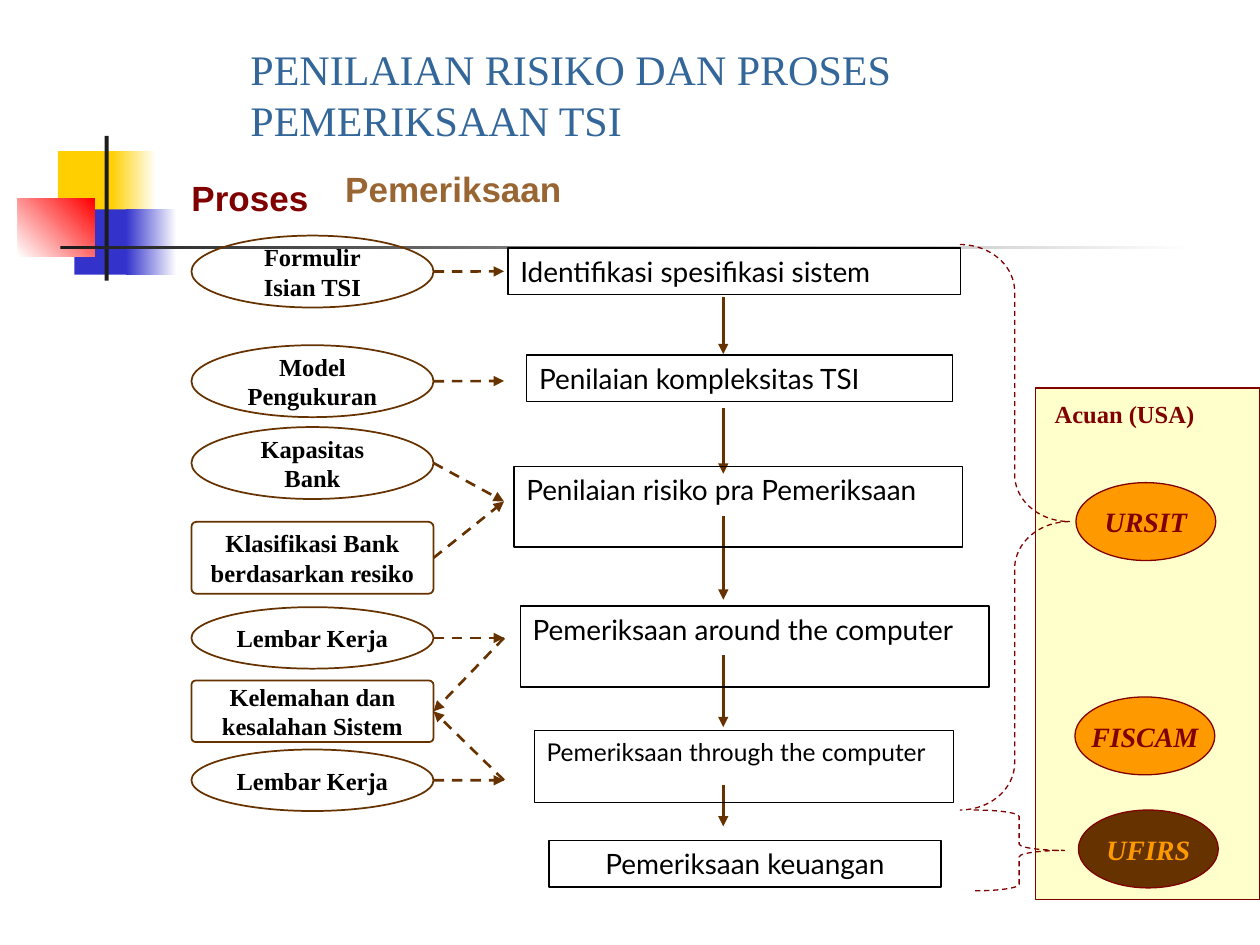
from lxml import etree
from pptx import Presentation
from pptx import util as u
from pptx.dml import color
from pptx.enum import dml, shapes, text
from pptx.oxml import ns

COLORS = {
    "white": "FFFFFF", "black": "000000", "ink": "1C1C1C",
    "yellow": "FFCF01", "blue": "3333CC", "red": "FF0000",
    "title": "336699", "maroon": "800000", "tan": "996633",
    "brown": "663300", "cream": "FFFFCC", "orange": "FF9900",
}
SERIF = "Times New Roman"
RECT = shapes.MSO_SHAPE.RECTANGLE
ROUND = shapes.MSO_SHAPE.ROUNDED_RECTANGLE
OVAL = shapes.MSO_SHAPE.OVAL
BRACE = shapes.MSO_SHAPE.RIGHT_BRACE
LEFT, CENTER = text.PP_ALIGN.LEFT, text.PP_ALIGN.CENTER
TOP, MIDDLE = text.MSO_ANCHOR.TOP, text.MSO_ANCHOR.MIDDLE

INPUT_LEFT, INPUT_WIDTH = 3.86, 4.88
INPUT_RIGHT = INPUT_LEFT + INPUT_WIDTH
TARGET_X, FLOW_X = 10.16, 14.58

DECOR = [
    (1.17, 3.05, 1.22, 1.32, ["yellow"], 0),
    (2.24, 3.05, 0.91, 1.32, ["yellow", "white"], 0),
    (1.5, 4.22, 1.17, 1.32, ["blue"], 0),
    (2.54, 4.22, 1.02, 1.32, ["blue", "white"], 0),
    (0.36, 4.01, 1.55, 1.17, ["white", "red"], 45),
    (2.11, 2.74, 0.08, 2.92, ["ink"], 0),
    (1.22, 4.95, 22.86, 0.08, ["ink", "white"], 0),
]
INPUTS = [
    ("form", OVAL, 4.75, 1.45, ["Formulir", "Isian TSI"]),
    ("model", OVAL, 6.96, 1.45, ["Model", "Pengukuran"]),
    ("capacity", OVAL, 8.61, 1.45, ["Kapasitas", "Bank"]),
    ("class", ROUND, 10.52, 1.45, ["Klasifikasi Bank", "berdasarkan resiko"]),
    ("sheet1", OVAL, 12.24, 1.24, ["Lembar Kerja"]),
    ("weakness", ROUND, 13.72, 1.24, ["Kelemahan dan", "kesalahan Sistem"]),
    ("sheet2", OVAL, 15.11, 1.24, ["Lembar Kerja"]),
]
INPUT_ARROWS = [
    ("form", 5.47), ("model", 7.68), ("capacity", 10.11),
    ("class", 10.11), ("sheet1", 12.86), ("sheet2", 15.73),
]
STEPS = [
    (10.24, 5, 9.12, 0.94, "Identifikasi spesifikasi sistem", 16, LEFT),
    (10.62, 7.16, 8.59, 0.94, "Penilaian kompleksitas TSI", 16, LEFT),
    (10.36, 9.4, 9.04, 1.63, "Penilaian risiko pra Pemeriksaan", 16, LEFT),
    (10.49, 12.22, 9.45, 1.63, "Pemeriksaan around the computer", 16, LEFT),
    (10.77, 14.73, 8.46, 1.45, "Pemeriksaan through the computer", 14, LEFT),
    (11.07, 16.94, 7.9, 0.94, "Pemeriksaan keuangan", 16, CENTER),
]
FLOW_ARROWS = [(5.99, 7.14), (8.23, 9.55), (10.41, 12.09),
               (13.21, 14.66), (15.82, 16.66)]
REFERENCES = [
    (21.69, 9.73, "URSIT", "orange", "maroon"),
    (21.67, 14.05, "FISCAM", "orange", "maroon"),
    (21.74, 16.33, "UFIRS", "brown", "orange"),
]
BRACES = [
    (19.35, 4.93, 2.21, 11.4, 0.43, 0.49),
    (19.63, 16.33, 1.83, 1.63, 0.08, 0.5),
]


def rgb(name):
    return color.RGBColor.from_string(COLORS[name])


def cm(*values):
    return [u.Cm(v) for v in values]


def write(sp, lines, size, font, ink, align=LEFT, anchor=TOP,
          bold=False, italic=False, wrap=False):
    tf = sp.text_frame
    tf.text = "\n".join(lines)
    tf.word_wrap = wrap
    tf.vertical_anchor = anchor
    for p in tf.paragraphs:
        p.alignment = align
        p.font.size = u.Pt(size)
        p.font.name = font
        p.font.bold = bold
        p.font.italic = italic
        p.font.color.rgb = rgb(ink)


def add_label(s, box, line, size, font, ink, **style):
    write(s.shapes.add_textbox(*cm(*box)), [line], size, font, ink, **style)


def add_box(s, kind, box, fills=(), line=None, width=0.75, angle=0):
    sp = s.shapes.add_shape(kind, *cm(*box))
    sp.shadow.inherit = False
    if len(fills) > 1:
        sp.fill.gradient()
        sp.fill.gradient_angle = angle
        for stop, name in zip(sp.fill.gradient_stops, fills):
            stop.color.rgb = rgb(name)
    elif fills:
        sp.fill.solid()
        sp.fill.fore_color.rgb = rgb(fills[0])
    else:
        sp.fill.background()
    if line:
        sp.line.color.rgb = rgb(line)
        sp.line.width = u.Pt(width)
    else:
        sp.line.fill.background()
    return sp


def add_arrow(s, start, end, dashed=False):
    c = s.shapes.add_connector(shapes.MSO_CONNECTOR.STRAIGHT, *cm(*start, *end))
    c.line.color.rgb = rgb("brown")
    c.line.width = u.Pt(1.5)
    if dashed:
        c.line.dash_style = dml.MSO_LINE.DASH
    etree.SubElement(c.line._get_or_add_ln(), ns.qn("a:tailEnd"), type="triangle")
    etree.SubElement(c._element.spPr, ns.qn("a:effectLst"))
    return c


def add_input(s, kind, top, height, lines):
    sp = add_box(s, kind, (INPUT_LEFT, top, INPUT_WIDTH, height),
                 line="brown", width=1)
    if kind == ROUND:
        sp.adjustments[0] = 0.07
    write(sp, lines, 14, SERIF, "black", CENTER, MIDDLE, bold=True)
    return sp


def add_brace(s, left, top, width, height, curl, point):
    sp = add_box(s, BRACE, (left, top, width, height), line="maroon")
    sp.line.dash_style = dml.MSO_LINE.DASH
    sp.adjustments[0] = curl
    sp.adjustments[1] = point


def add_inputs(s):
    nodes, middles = {}, {}
    for name, kind, top, height, lines in INPUTS:
        nodes[name] = add_input(s, kind, top, height, lines)
        middles[name] = top + height / 2
    for name, target_y in INPUT_ARROWS:
        c = add_arrow(s, (INPUT_RIGHT, middles[name]), (TARGET_X, target_y), True)
        if name == "class":
            c.begin_connect(nodes[name], 3)
    for name in ("sheet1", "sheet2"):
        c = add_arrow(s, (TARGET_X, middles[name]),
                      (INPUT_RIGHT, middles["weakness"]), True)
        c.end_connect(nodes["weakness"], 3)


def add_references(s):
    add_box(s, RECT, (20.88, 7.82, 4.52, 10.31), ["cream"], "maroon")
    for left, top, name, fill, ink in REFERENCES:
        sp = add_box(s, OVAL, (left, top, 2.82, 1.57), [fill], "maroon")
        write(sp, [name], 16, SERIF, ink, CENTER, MIDDLE, bold=True, italic=True)
    for brace in BRACES:
        add_brace(s, *brace)
    add_label(s, (21.01, 7.92, 4.32, 0.86), "Acuan (USA)", 14, SERIF, "maroon",
              bold=True, wrap=True)


def add_steps(s):
    for *box, line, size, align in STEPS:
        sp = add_box(s, RECT, box, line="black")
        write(sp, [line], size, "Lato", "black", align, wrap=True)


def main():
    prs = Presentation()
    prs.slide_width, prs.slide_height = cm(25.4, 19.05)
    s = prs.slides.add_slide(prs.slide_layouts[6])
    for *box, fills, angle in DECOR:
        add_box(s, RECT, box, fills, angle=angle)
    add_label(s, (4.8, 0.76, 19.1, 1.14),
              "PENILAIAN RISIKO DAN PROSES PEMERIKSAAN TSI", 24, SERIF, "title")
    add_label(s, (3.61, 3.43, 2.87, 1.09), "Proses", 20, "Arial", "maroon",
              bold=True)
    add_label(s, (6.71, 3.25, 7.09, 1.09), "Pemeriksaan", 20, "Arial", "tan",
              bold=True, wrap=True)
    add_inputs(s)
    for start, end in FLOW_ARROWS:
        add_arrow(s, (FLOW_X, start), (FLOW_X, end))
    add_references(s)
    add_steps(s)
    prs.save("out.pptx")


if __name__ == "__main__":
    main()
